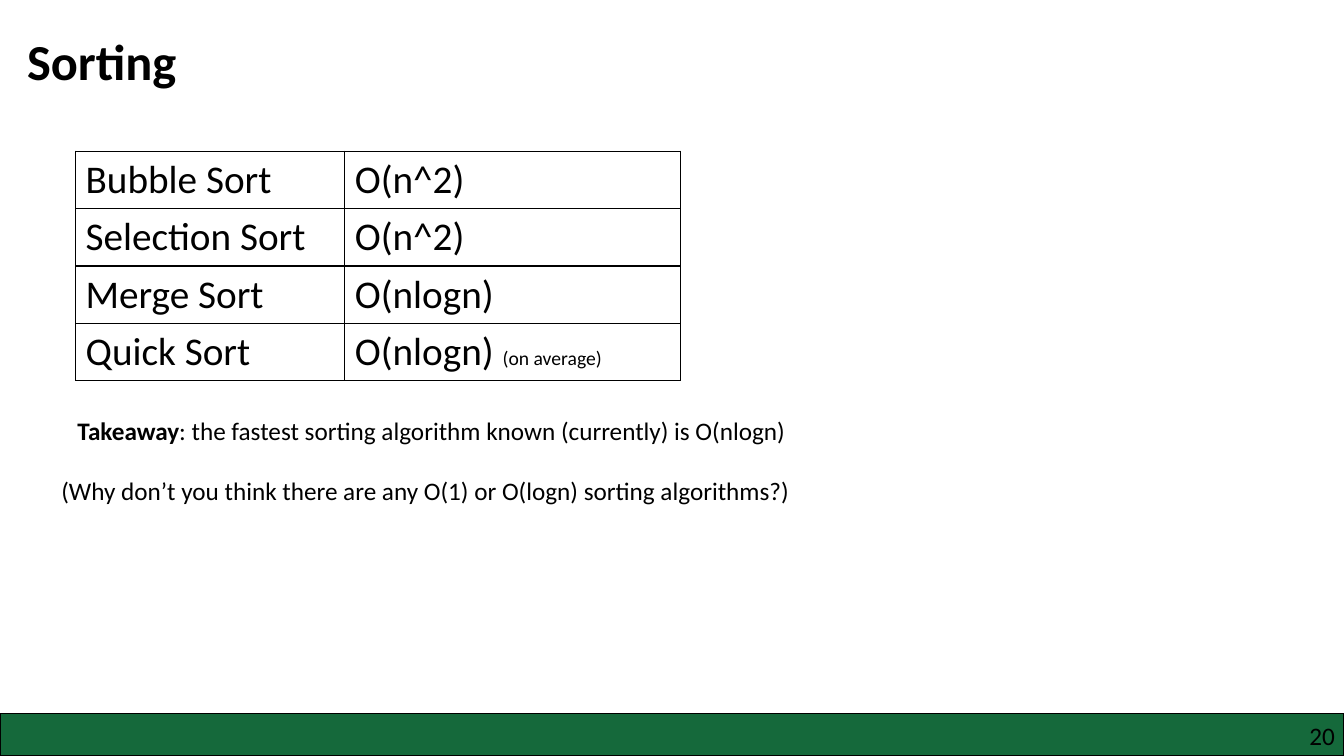
from lxml import etree
from pptx import Presentation
from pptx.dml.color import RGBColor
from pptx.enum.shapes import MSO_SHAPE
from pptx.enum.text import PP_ALIGN
from pptx.oxml.ns import qn
from pptx.util import Inches, Pt

RECTANGLE = MSO_SHAPE.RECTANGLE
LEFT, RIGHT = PP_ALIGN.LEFT, PP_ALIGN.RIGHT
FONT = "Calibri"
COLORS = {"text": "000000", "border": "000000", "footer": "15693B"}
SLIDE_WIDTH, SLIDE_HEIGHT = 13.33, 7.5
BLANK_LAYOUT = 6

SORTS = [
    ("Bubble Sort", "O(n^2)", ""),
    ("Selection Sort", "O(n^2)", ""),
    ("Merge Sort", "O(nlogn)", ""),
    ("Quick Sort", "O(nlogn) ", "(on average)"),
]


def color(name):
    return RGBColor.from_string(COLORS[name])


def add_run(paragraph, text, size, bold=False):
    run = paragraph.add_run()
    run.text = text
    run.font.name = FONT
    run.font.size = Pt(size)
    run.font.bold = bold
    run.font.color.rgb = color("text")


def add_text(slide, box, runs, align=LEFT, inset=True):
    """Add a one-paragraph text box; runs are (text, size, bold) tuples."""
    shape = slide.shapes.add_textbox(*map(Inches, box))
    frame = shape.text_frame
    frame.word_wrap = True
    if not inset:
        frame.margin_left = frame.margin_right = 0
        frame.margin_top = frame.margin_bottom = 0
    paragraph = frame.paragraphs[0]
    paragraph.alignment = align
    for run in runs:
        add_run(paragraph, *run)


def add_footer_bar(slide, height):
    bar = slide.shapes.add_shape(
        RECTANGLE, 0, Inches(SLIDE_HEIGHT - height), Inches(SLIDE_WIDTH), Inches(height)
    )
    bar.shadow.inherit = False
    bar.fill.solid()
    bar.fill.fore_color.rgb = color("footer")
    bar.line.color.rgb = color("border")
    bar.line.width = Pt(1)


def set_borders(cell):
    properties = cell._tc.get_or_add_tcPr()
    for position, side in enumerate(("a:lnL", "a:lnR", "a:lnT", "a:lnB")):
        line = etree.Element(qn(side), w=str(Pt(1)))
        fill = etree.SubElement(line, qn("a:solidFill"))
        etree.SubElement(fill, qn("a:srgbClr"), val=COLORS["border"])
        properties.insert(position, line)


def add_sort_table(slide, left, top, column_widths, row_height):
    table = slide.shapes.add_table(
        len(SORTS), len(column_widths), Inches(left), Inches(top),
        Inches(sum(column_widths)), Inches(row_height * len(SORTS)),
    ).table
    table.first_row = table.horz_banding = False
    for column, width in zip(table.columns, column_widths):
        column.width = Inches(width)
    for row, (name, complexity, remark) in enumerate(SORTS):
        for column, text in enumerate((name, complexity)):
            cell = table.cell(row, column)
            cell.fill.background()
            set_borders(cell)
            add_run(cell.text_frame.paragraphs[0], text, 28)
        if remark:
            add_run(table.cell(row, 1).text_frame.paragraphs[0], remark, 14)


def main():
    presentation = Presentation()
    presentation.slide_width = Inches(SLIDE_WIDTH)
    presentation.slide_height = Inches(SLIDE_HEIGHT)
    slide = presentation.slides.add_slide(presentation.slide_layouts[BLANK_LAYOUT])

    add_footer_bar(slide, 0.42)
    add_text(slide, (10.17, 7.15, 3.07, 0.3), [("20", 18)], RIGHT, inset=False)
    add_text(slide, (0.17, 0.25, 1.97, 0.71), [("Sorting", 36, True)])
    add_sort_table(slide, 0.75, 1.5, (2.67, 3.33), 0.57)
    add_text(slide, (0.67, 4.07, 7.96, 0.4), [
        ("Takeaway", 18, True),
        (": the fastest sorting algorithm known (currently) is O(nlogn)", 18),
    ])
    add_text(slide, (0.51, 4.67, 8.11, 0.4), [
        ("(Why don’t you think there are any O(1) or O(logn) sorting algorithms?)", 18),
    ])
    presentation.save("out.pptx")


if __name__ == "__main__":
    main()
